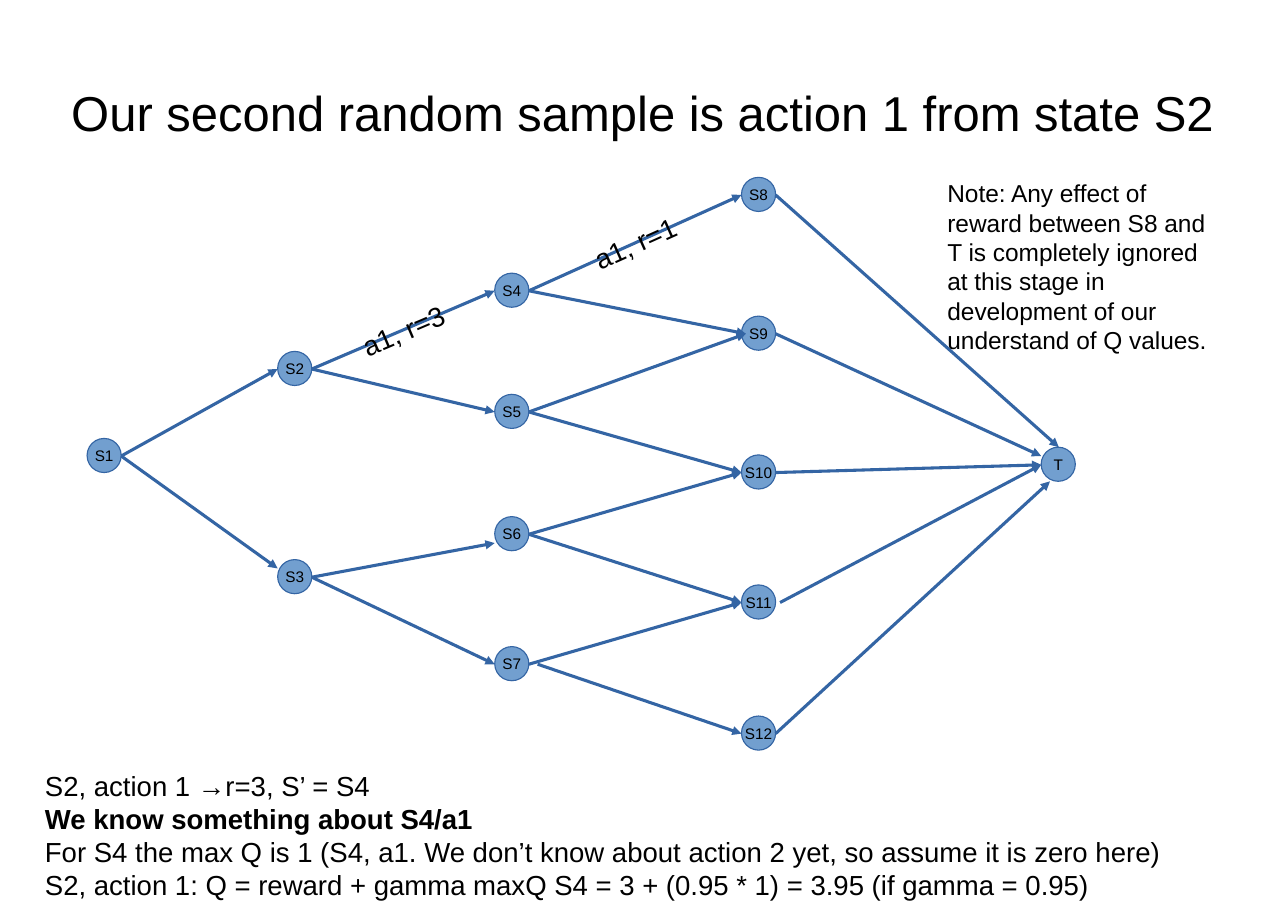
from dataclasses import dataclass
from math import atan2, degrees

from lxml.etree import SubElement
from pptx import Presentation
from pptx.dml.color import RGBColor
from pptx.enum.shapes import MSO_CONNECTOR, MSO_SHAPE
from pptx.enum.text import MSO_ANCHOR as ANCHOR, PP_ALIGN as ALIGN
from pptx.oxml.ns import qn
from pptx.slide import Slide
from pptx.text.text import TextFrame
from pptx.util import Emu, Pt

PX = 9144  # 100 px to the inch
DIAMETER = 31
RADIUS = 16
LABEL_W, LABEL_H = 120, 40

BLACK = RGBColor(0x00, 0x00, 0x00)
NODE_FILL = RGBColor(0x72, 0x9F, 0xCF)
LINE_BLUE = RGBColor(0x34, 0x65, 0xA4)

NO_MARGINS = dict(margin_left=0, margin_right=0, margin_top=0, margin_bottom=0)
CENTRED = dict(vertical_anchor=ANCHOR.MIDDLE, word_wrap=False)


@dataclass(frozen=True)
class Node:
    name: str
    left: int
    top: int


@dataclass(frozen=True)
class Edge:
    """Runs from the right of one node to the left of another, with offsets."""
    start: str
    end: str
    start_dx: int = 0
    end_dx: int = 0
    end_dy: int = 0
    label: str = ""


@dataclass(frozen=True)
class Line:
    text: str
    bold: bool = False


COLUMNS = {
    79: {"S1": 398},
    252: {"S2": 319, "S3": 508},
    449: {"S4": 248, "S5": 358, "S6": 469, "S7": 587},
    673: {"S8": 161, "S9": 287, "S10": 413, "S11": 531, "S12": 650},
    945: {"T": 406},
}
NODES = {name: Node(name, left, top)
         for left, column in COLUMNS.items() for name, top in column.items()}

EDGES = [
    Edge("S1", "S3", end_dy=-8),
    Edge("S1", "S2"),
    Edge("S2", "S4", label="a1, r=3"),
    Edge("S2", "S5"),
    Edge("S4", "S8", label="a1, r=1"),
    Edge("S4", "S9", end_dx=4),
    Edge("S5", "S9", end_dx=4),
    Edge("S5", "S10"),
    Edge("S6", "S10"),
    Edge("S6", "S11"),
    Edge("S7", "S11"),
    Edge("S7", "S12", start_dx=8),
    Edge("S3", "S6", end_dy=8),
    Edge("S3", "S7"),
    Edge("S8", "T", end_dx=16, end_dy=-16),
    Edge("S9", "T", end_dy=-8),
    Edge("S10", "T"),
    Edge("S11", "T", start_dx=4),
    Edge("S12", "T", end_dx=8, end_dy=15),
]

TITLE = [Line("Our second random sample is action 1 from state S2")]
WORKING = [
    Line("S2, action 1 →r=3, S’ = S4"),
    Line("We know something about S4/a1", bold=True),
    Line("For S4 the max Q is 1 (S4, a1. We don’t know about action 2 yet, "
         "so assume it is zero here)"),
    Line("S2, action 1: Q = reward + gamma maxQ S4 = 3 + (0.95 * 1) = 3.95 "
         "(if gamma = 0.95)"),
]
NOTE = [Line("Note: Any effect of reward between S8 and T is completely ignored "
             "at this stage in development of our understand of Q values.")]


def px(*lengths: float) -> list[Emu]:
    return [Emu(round(length * PX)) for length in lengths]


def set_all(target: object, values: dict) -> None:
    for name, value in values.items():
        setattr(target, name, value)


def write(tf: TextFrame, lines: list[Line], size: int, align: ALIGN, frame: dict) -> None:
    set_all(tf, frame)
    for i, line in enumerate(lines):
        p = tf.add_paragraph() if i else tf.paragraphs[0]
        p.alignment = align
        r = p.add_run()
        r.text = line.text
        set_all(r.font, dict(name="Arial", size=Pt(size), bold=line.bold))
        r.font.color.rgb = BLACK


def add_text(s: Slide, box: tuple, lines: list[Line], size: int,
             align: ALIGN = ALIGN.LEFT, **frame) -> None:
    sp = s.shapes.add_textbox(*px(*box))
    write(sp.text_frame, lines, size, align, dict(word_wrap=True) | frame)


def add_node(s: Slide, node: Node) -> None:
    sp = s.shapes.add_shape(MSO_SHAPE.OVAL, *px(node.left, node.top, DIAMETER, DIAMETER))
    sp.shadow.inherit = False
    sp.fill.solid()
    sp.fill.fore_color.rgb = NODE_FILL
    sp.line.color.rgb = LINE_BLUE
    sp.line.width = 0
    write(sp.text_frame, [Line(node.name)], 10, ALIGN.CENTER, CENTRED)


def add_edge(s: Slide, edge: Edge) -> None:
    start, end = NODES[edge.start], NODES[edge.end]
    x1, y1 = start.left + DIAMETER + edge.start_dx, start.top + RADIUS
    x2, y2 = end.left + edge.end_dx, end.top + RADIUS + edge.end_dy
    cxn = s.shapes.add_connector(MSO_CONNECTOR.STRAIGHT, *px(x1, y1, x2, y2))
    cxn.line.color.rgb = LINE_BLUE
    cxn.line.width = 0
    SubElement(cxn.line._get_or_add_ln(), qn("a:tailEnd"), type="triangle")
    SubElement(cxn._element.spPr, qn("a:effectLst"))
    if edge.label:
        box = ((x1 + x2 - LABEL_W) / 2, (y1 + y2 - LABEL_H) / 2, LABEL_W, LABEL_H)
        sp = s.shapes.add_textbox(*px(*box))
        sp.rotation = degrees(atan2(y2 - y1, x2 - x1))
        write(sp.text_frame, [Line(edge.label)], 18, ALIGN.CENTER, CENTRED)


def main() -> None:
    prs = Presentation()
    prs.slide_width, prs.slide_height = px(1169, 827)
    s = prs.slides.add_slide(prs.slide_layouts[6])
    for node in NODES.values():
        add_node(s, node)
    for edge in EDGES:
        add_edge(s, edge)
    add_text(s, (58, 33, 1052, 138), TITLE, 32, ALIGN.CENTER,
             vertical_anchor=ANCHOR.MIDDLE, **NO_MARGINS)
    add_text(s, (31, 693, 1094, 150), WORKING, 18)
    add_text(s, (850, 157, 268, 198), NOTE, 16)
    prs.save("out.pptx")


if __name__ == "__main__":
    main()
